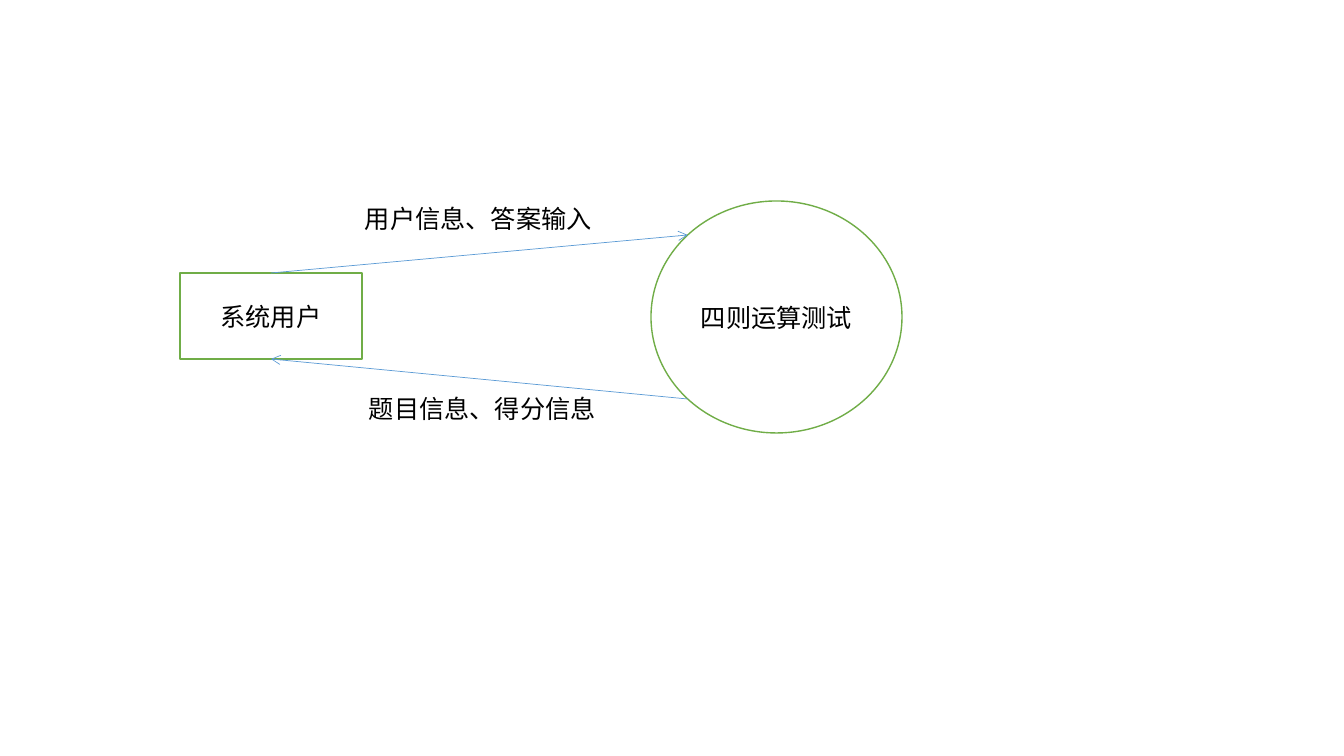
from dataclasses import dataclass
from math import cos, pi

from lxml.etree import SubElement
from pptx import Presentation
from pptx.dml.color import RGBColor
from pptx.enum.shapes import MSO_CONNECTOR, MSO_SHAPE
from pptx.enum.text import MSO_ANCHOR, MSO_AUTO_SIZE, PP_ALIGN
from pptx.oxml.ns import qn
from pptx.util import Inches, Pt


@dataclass(frozen=True)
class Theme:
    font: str = "Calibri"
    size: Pt = Pt(18)
    text: RGBColor = RGBColor(0x00, 0x00, 0x00)
    fill: RGBColor = RGBColor(0xFF, 0xFF, 0xFF)
    outline: RGBColor = RGBColor(0x70, 0xAD, 0x47)
    outline_width: Pt = Pt(1)
    flow: RGBColor = RGBColor(0x5B, 0x9B, 0xD5)
    flow_width: Pt = Pt(0.5)


THEME = Theme()
TOP, UPPER_LEFT, BOTTOM, LOWER_LEFT = 0, 1, 2, 3


def px(length):
    return round(length * Inches(1) / 100.8)


def apply_format(target, values):
    for name, value in values.items():
        setattr(target, name, value)


def write(frame, wording, alignment, frame_format):
    apply_format(frame, {"word_wrap": True, **frame_format})
    paragraph = frame.paragraphs[0]
    paragraph.alignment = alignment
    run = paragraph.add_run()
    run.text = wording
    apply_format(run.font, {"name": THEME.font, "size": THEME.size})
    run.font.color.rgb = THEME.text


def add_node(slide, kind, bounds, wording):
    node = slide.shapes.add_shape(kind, *map(px, bounds))
    node.shadow.inherit = False
    node.fill.solid()
    node.fill.fore_color.rgb = THEME.fill
    node.line.color.rgb = THEME.outline
    node.line.width = THEME.outline_width
    write(node.text_frame, wording, PP_ALIGN.CENTER,
          {"vertical_anchor": MSO_ANCHOR.MIDDLE})
    return node


def add_flow_label(slide, bounds, wording):
    label = slide.shapes.add_textbox(*map(px, bounds))
    write(label.text_frame, wording, PP_ALIGN.LEFT,
          {"auto_size": MSO_AUTO_SIZE.SHAPE_TO_FIT_TEXT})


def edge_point(node, site, across, down):
    x = node.left + round(node.width * (1 + across) / 2)
    y = node.top + round(node.height * (1 + down) / 2)
    return node, site, x, y


def add_flow(slide, source, target):
    source_node, source_site, *start = source
    target_node, target_site, *finish = target
    flow = slide.shapes.add_connector(MSO_CONNECTOR.STRAIGHT, *start, *finish)
    flow.begin_connect(source_node, source_site)
    flow.end_connect(target_node, target_site)
    apply_format(flow, dict(zip(("begin_x", "begin_y", "end_x", "end_y"),
                                start + finish)))
    flow.line.color.rgb = THEME.flow
    flow.line.width = THEME.flow_width
    properties = flow.element.spPr
    SubElement(properties.find(qn("a:ln")), qn("a:tailEnd"), type="arrow")
    SubElement(properties, qn("a:effectLst"))


def main():
    deck = Presentation()
    apply_format(deck, {"slide_width": px(1344), "slide_height": px(756)})
    slide = deck.slides.add_slide(deck.slide_layouts[6])

    user = add_node(slide, MSO_SHAPE.FLOWCHART_PROCESS,
                    (180, 273, 182, 86), "系统用户")
    quiz = add_node(slide, MSO_SHAPE.OVAL,
                    (651, 201, 251, 232), "四则运算测试")

    diagonal = cos(pi / 4)
    add_flow(slide, edge_point(user, TOP, 0, -1),
             edge_point(quiz, UPPER_LEFT, -diagonal, -diagonal))
    add_flow(slide, edge_point(quiz, LOWER_LEFT, -diagonal, diagonal),
             edge_point(user, BOTTOM, 0, 1))

    add_flow_label(slide, (355, 198, 261, 40), "用户信息、答案输入")
    add_flow_label(slide, (359, 388, 253, 40), "题目信息、得分信息")
    deck.save("out.pptx")


main()
